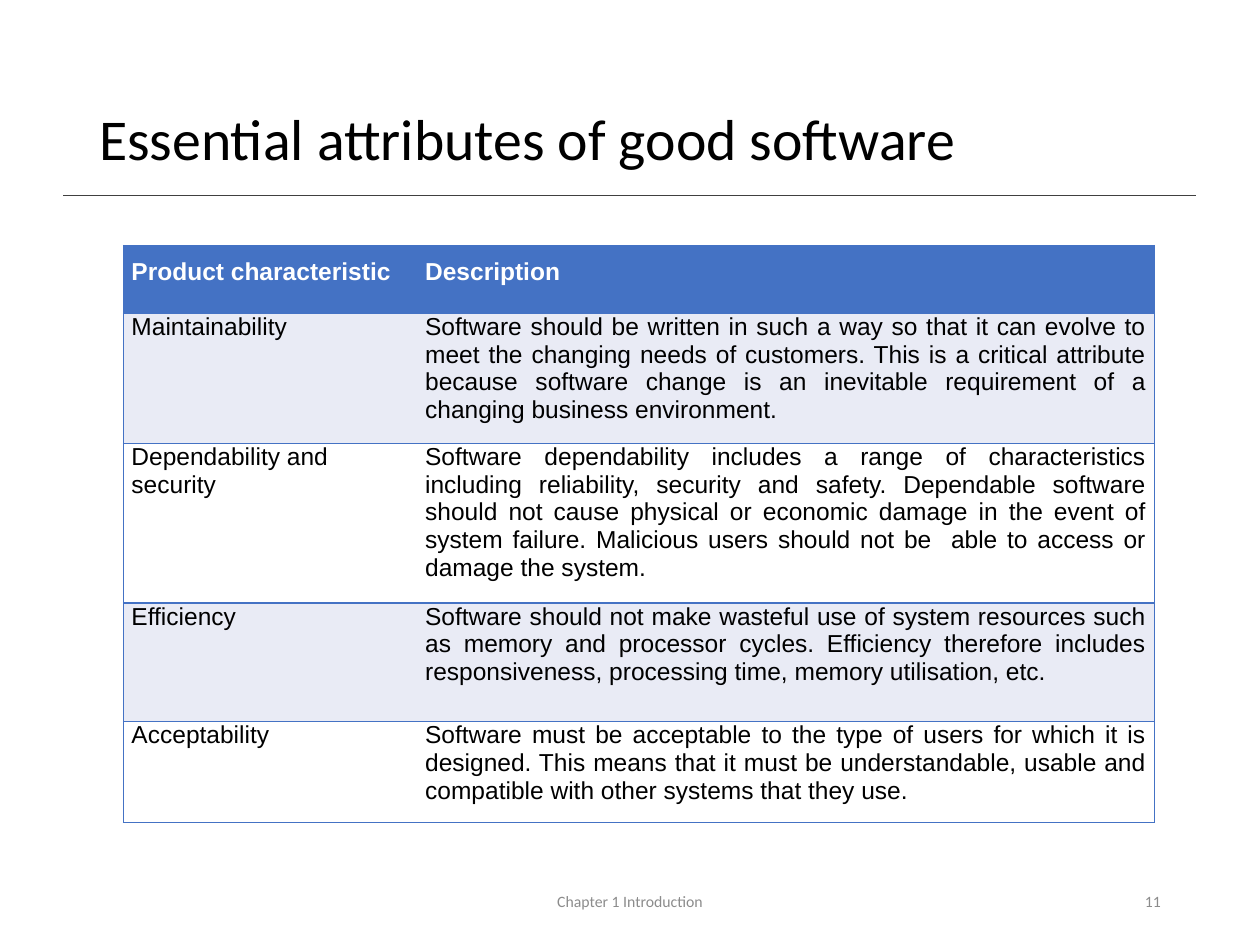
from lxml.etree import SubElement
from pptx import Presentation
from pptx.dml.color import RGBColor
from pptx.enum.shapes import MSO_CONNECTOR
from pptx.enum.text import MSO_ANCHOR, PP_ALIGN
from pptx.oxml.ns import qn
from pptx.util import Cm, Pt

COLORS = {
    "black": "000000", "white": "FFFFFF", "rule": "404040",
    "footer": "8C8C8C", "blue": "4472C4", "band": "E9EBF5",
}
ROWS = [
    ("Product characteristic", "Description"),
    ("Maintainability",
     "Software should be written in such a way so that it can evolve to meet "
     "the changing needs of customers. This is a critical attribute because "
     "software change is an inevitable requirement of a changing business "
     "environment."),
    ("Dependability and security",
     "Software dependability includes a range of characteristics including "
     "reliability, security and safety. Dependable software should not cause "
     "physical or economic damage in the event of system failure. Malicious "
     "users should not be  able to access or damage the system."),
    ("Efficiency",
     "Software should not make wasteful use of system resources such as memory "
     "and processor cycles. Efficiency therefore includes responsiveness, "
     "processing time, memory utilisation, etc."),
    ("Acceptability",
     "Software must be acceptable to the type of users for which it is "
     "designed. This means that it must be understandable, usable and "
     "compatible with other systems that they use."),
]
COL_WIDTHS = (5.92, 14.86)
ROW_HEIGHTS = (1.37, 2.39, 2.9, 2.39, 1.88)


def rgb(name):
    return RGBColor.from_string(COLORS[name])


def set_text(p, text, color, **font):
    r = p.add_run()
    r.text = text
    for name, value in font.items():
        setattr(r.font, name, value)
    r.font.color.rgb = rgb(color)


def add_text(slide, box, text, color, size, align=PP_ALIGN.LEFT, spacing=None):
    tf = slide.shapes.add_textbox(*map(Cm, box)).text_frame
    tf.word_wrap = True
    tf.vertical_anchor = MSO_ANCHOR.MIDDLE
    p = tf.paragraphs[0]
    p.alignment = align
    p.line_spacing = spacing
    set_text(p, text, color, name="Calibri", size=Pt(size))


def add_title(slide, left, top, width, height):
    rule_y = Cm(top + 2.92)
    rule = slide.shapes.add_connector(
        MSO_CONNECTOR.STRAIGHT, Cm(left - 0.48), rule_y,
        Cm(left + width + 0.46), rule_y)
    rule.line.color.rgb = rgb("rule")
    rule.line.width = Pt(1)
    SubElement(rule._element.spPr, qn("a:effectLst"))
    add_text(slide, (left, top, width, height),
             "Essential attributes of good software", "black", 33, spacing=0.9)


def set_borders(cell, hidden):
    """Outline a cell in blue, except on the hidden side."""
    tc_pr = cell._tc.get_or_add_tcPr()
    for side in ("lnL", "lnR", "lnT", "lnB"):
        ln = SubElement(tc_pr, qn(f"a:{side}"), w=str(Pt(1)))
        if side == hidden:
            SubElement(ln, qn("a:noFill"))
        else:
            fill = SubElement(ln, qn("a:solidFill"))
            SubElement(fill, qn("a:srgbClr"), val=COLORS["blue"])


def fill_cell(cell, text, row, col):
    header = row == 0
    margins = {
        "margin_left": 0.16, "margin_right": 0.16,
        "margin_top": 0.25 if header else 0, "margin_bottom": 0.25,
    }
    for name, value in margins.items():
        setattr(cell, name, Cm(value))
    set_borders(cell, "lnL" if col else "lnR")
    cell.fill.solid()
    cell.fill.fore_color.rgb = rgb(
        "blue" if header else "band" if row % 2 else "white")
    p = cell.text_frame.paragraphs[0]
    wraps_in_label = (row, col) == (2, 0)
    p.alignment = PP_ALIGN.LEFT if wraps_in_label else PP_ALIGN.JUSTIFY
    set_text(p, text, "white" if header else "black",
             name="Arial", size=Pt(14), bold=header)


def add_attribute_table(slide, left, top):
    table = slide.shapes.add_table(
        len(ROWS), len(COL_WIDTHS), Cm(left), Cm(top),
        Cm(sum(COL_WIDTHS)), Cm(sum(ROW_HEIGHTS))).table
    for column, width in zip(table.columns, COL_WIDTHS):
        column.width = Cm(width)
    for i, (texts, height) in enumerate(zip(ROWS, ROW_HEIGHTS)):
        table.rows[i].height = Cm(height)
        for j, text in enumerate(texts):
            fill_cell(table.cell(i, j), text, i, j)


def add_footer(slide, left, top, width, height):
    add_text(slide, (left, top, 8.58, height), "Chapter 1 Introduction",
             "footer", 9, PP_ALIGN.CENTER)
    number_width = 5.72
    add_text(slide, (left + width - number_width, top, number_width, height),
             "11", "footer", 9, PP_ALIGN.RIGHT)


def main():
    prs = Presentation()
    prs.slide_width, prs.slide_height = Cm(25.4), Cm(19.05)
    slide = prs.slides.add_slide(prs.slide_layouts[6])
    add_title(slide, 1.75, 1.02, 21.9, 3.68)
    add_footer(slide, 8.41, 17.65, 15.24, 1.02)
    add_attribute_table(slide, 2.49, 4.95)
    prs.save("out.pptx")


if __name__ == "__main__":
    main()
